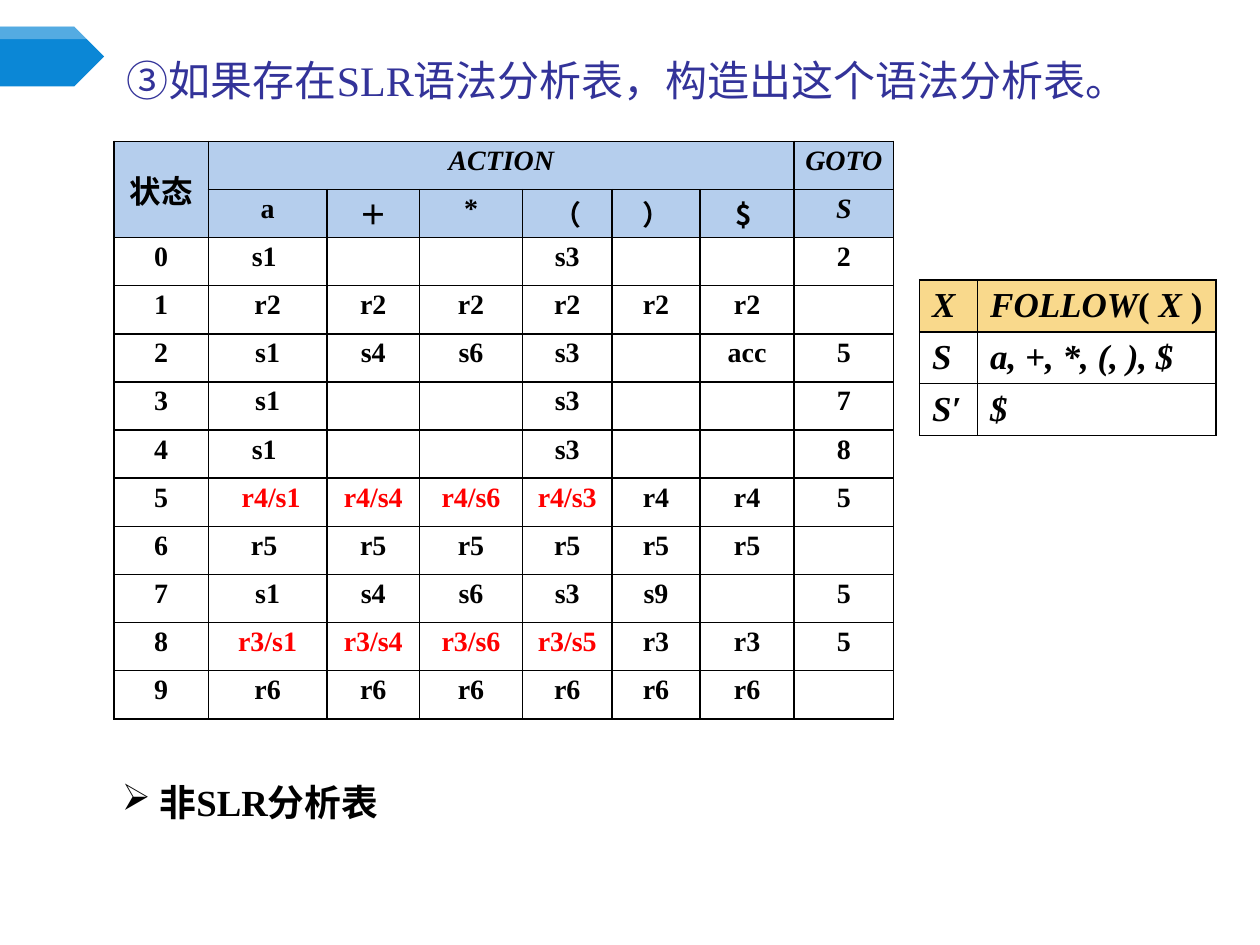
from lxml import etree
from pptx import Presentation
from pptx.dml.color import RGBColor
from pptx.enum.shapes import MSO_SHAPE
from pptx.enum.text import MSO_ANCHOR, PP_ALIGN
from pptx.oxml import parse_xml
from pptx.oxml.ns import nsdecls, qn
from pptx.util import Cm, Pt

PENTAGON = MSO_SHAPE.PENTAGON
TOP, MIDDLE, BOTTOM = MSO_ANCHOR.TOP, MSO_ANCHOR.MIDDLE, MSO_ANCHOR.BOTTOM
CENTER, LEFT = PP_ALIGN.CENTER, PP_ALIGN.LEFT

BLACK = RGBColor(0x00, 0x00, 0x00)
WHITE = RGBColor(0xFF, 0xFF, 0xFF)
RED = RGBColor(0xFF, 0x00, 0x00)
INDIGO = RGBColor(0x33, 0x33, 0x99)
BLUE = RGBColor(0x0B, 0x87, 0xD6)
PALE_BLUE = RGBColor(0xB5, 0xCE, 0xED)
PALE_GOLD = RGBColor(0xF9, 0xD9, 0x8C)

SERIF = "Times New Roman"
SANS = "Noto Sans CJK SC"


def write(para, text, size, font=SERIF, color=BLACK, bold=True, italic=False):
    span = para.add_run()
    span.text = text
    span.font.size = Pt(size)
    span.font.name = font
    span.font.color.rgb = color
    span.font.bold = bold
    span.font.italic = italic
    east_asian = etree.SubElement(span.font._element, qn("a:ea"))
    east_asian.set("typeface", SANS)


def add_grid(left, top, widths, row_height, row_count, header_rows, header_fill, margins):
    """Add a table with thin black borders and filled header rows; sizes in cm."""
    grid = page.shapes.add_table(row_count, len(widths), Cm(left), Cm(top),
                                 Cm(sum(widths)), Cm(row_height * row_count)).table
    grid.first_row = grid.horz_banding = False
    for column, width in zip(grid.columns, widths):
        column.width = Cm(width)
    for index, row in enumerate(grid.rows):
        row.height = Cm(row_height)
        for cell in row.cells:
            cell.margin_left = cell.margin_right = Cm(margins[0])
            cell.margin_top = cell.margin_bottom = Cm(margins[1])
            properties = cell._tc.get_or_add_tcPr()
            for side in ("lnL", "lnR", "lnT", "lnB"):
                properties.append(parse_xml(
                    f'<a:{side} {nsdecls("a")} w="12700"><a:solidFill>'
                    f'<a:srgbClr val="{BLACK}"/></a:solidFill></a:{side}>'))
            if index < header_rows:
                cell.fill.solid()
                cell.fill.fore_color.rgb = header_fill
            else:
                cell.fill.background()
    return grid


deck = Presentation()
deck.slide_width, deck.slide_height = Cm(25.4), Cm(19.05)
page = deck.slides.add_slide(deck.slide_layouts[6])

# Arrow tab at the left edge, with a lighter strip along its top
for height, color, opacity in ((1.2, BLUE, 100), (0.25, WHITE, 30)):
    tab = page.shapes.add_shape(PENTAGON, Cm(0), Cm(0.54), Cm(2.1), Cm(height))
    tab.shadow.inherit = False
    tab.line.fill.background()
    tab.fill.solid()
    tab.fill.fore_color.rgb = color
    if opacity < 100:
        swatch = tab._element.spPr.find(qn("a:solidFill"))[0]
        etree.SubElement(swatch, qn("a:alpha")).set("val", str(opacity * 1000))

title = page.shapes.add_textbox(Cm(2.31), Cm(0.46), Cm(22.55), Cm(1.78)).text_frame
title.word_wrap = True
title.vertical_anchor = BOTTOM
write(title.paragraphs[0], "③如果存在SLR语法分析表，构造出这个语法分析表。", 24,
      color=INDIGO, bold=False)

# Parsing table
PARSING_ROWS = [
    ["状态", "ACTION", "", "", "", "", "", "GOTO"],
    ["", "a", "＋", "*", "（", "）", "$ ", "S"],
    ["0", "s1 ", "", "", "s3", "", "", "2"],
    ["1"] + ["r2"] * 6 + [""],
    ["2", "s1", "s4", "s6", "s3", "", "acc", "5"],
    ["3", "s1", "", "", "s3", "", "", "7"],
    ["4", "s1 ", "", "", "s3", "", "", "8"],
    ["5", " r4/s1", "r4/s4", "r4/s6", "r4/s3", "r4", "r4", "5"],
    ["6", "r5 "] + ["r5"] * 5 + [""],
    ["7", "s1", "s4", "s6", "s3", "s9", "", "5"],
    ["8", "r3/s1", "r3/s4", "r3/s6", "r3/s5", "r3", "r3", "5"],
    ["9"] + ["r6"] * 6 + [""],
]
parsing = add_grid(2.3, 2.85, [1.9, 2.39, 1.87, 2.07, 1.81, 1.77, 1.9, 2.0], 0.97,
                   len(PARSING_ROWS), 2, PALE_BLUE, (0.18, 0.08))
parsing.cell(0, 0).merge(parsing.cell(1, 0))
parsing.cell(0, 1).merge(parsing.cell(0, 6))
for row, texts in enumerate(PARSING_ROWS):
    for column, text in enumerate(texts):
        if not text:
            continue
        cell = parsing.cell(row, column)
        cell.vertical_anchor = MIDDLE if text == "状态" else TOP
        para = cell.text_frame.paragraphs[0]
        para.alignment = CENTER
        write(para, text, 18 if text == "状态" else 16,
              font=SANS if text in ("状态", "＋", "（", "）", "$ ") else SERIF,
              color=RED if "/" in text else BLACK,
              italic=text in ("ACTION", "GOTO", "S"))

# Conclusion
note = page.shapes.add_textbox(Cm(1.09), Cm(15.14), Cm(22.12), Cm(1.47)).text_frame
note.word_wrap = True
para = note.paragraphs[0]
para.line_spacing = Pt(38)
properties = para._p.get_or_add_pPr()
properties.set("marL", str(Cm(1.88)))
properties.set("indent", str(Cm(-0.76)))
etree.SubElement(properties, qn("a:buChar")).set("char", "➢")
write(para, "非SLR分析表", 21)

# FOLLOW sets: each cell is a list of (text, italic) spans
FOLLOW_ROWS = [
    [[("X", True)], [("FOLLOW", True), ("( ", False), ("X", True), (" )", False)]],
    [[("S", True)], [("a, +, *, (, ), $", True)]],
    [[("S′", True)], [("$", True)]],
]
follow = add_grid(18.54, 5.64, [1.17, 4.8], 1.04, len(FOLLOW_ROWS), 1, PALE_GOLD, (0.25, 0.1))
for row, cells in enumerate(FOLLOW_ROWS):
    for column, spans in enumerate(cells):
        cell = follow.cell(row, column)
        cell.vertical_anchor = MIDDLE
        para = cell.text_frame.paragraphs[0]
        para.alignment = LEFT
        for text, italic in spans:
            write(para, text, 20, italic=italic)

deck.save("out.pptx")
